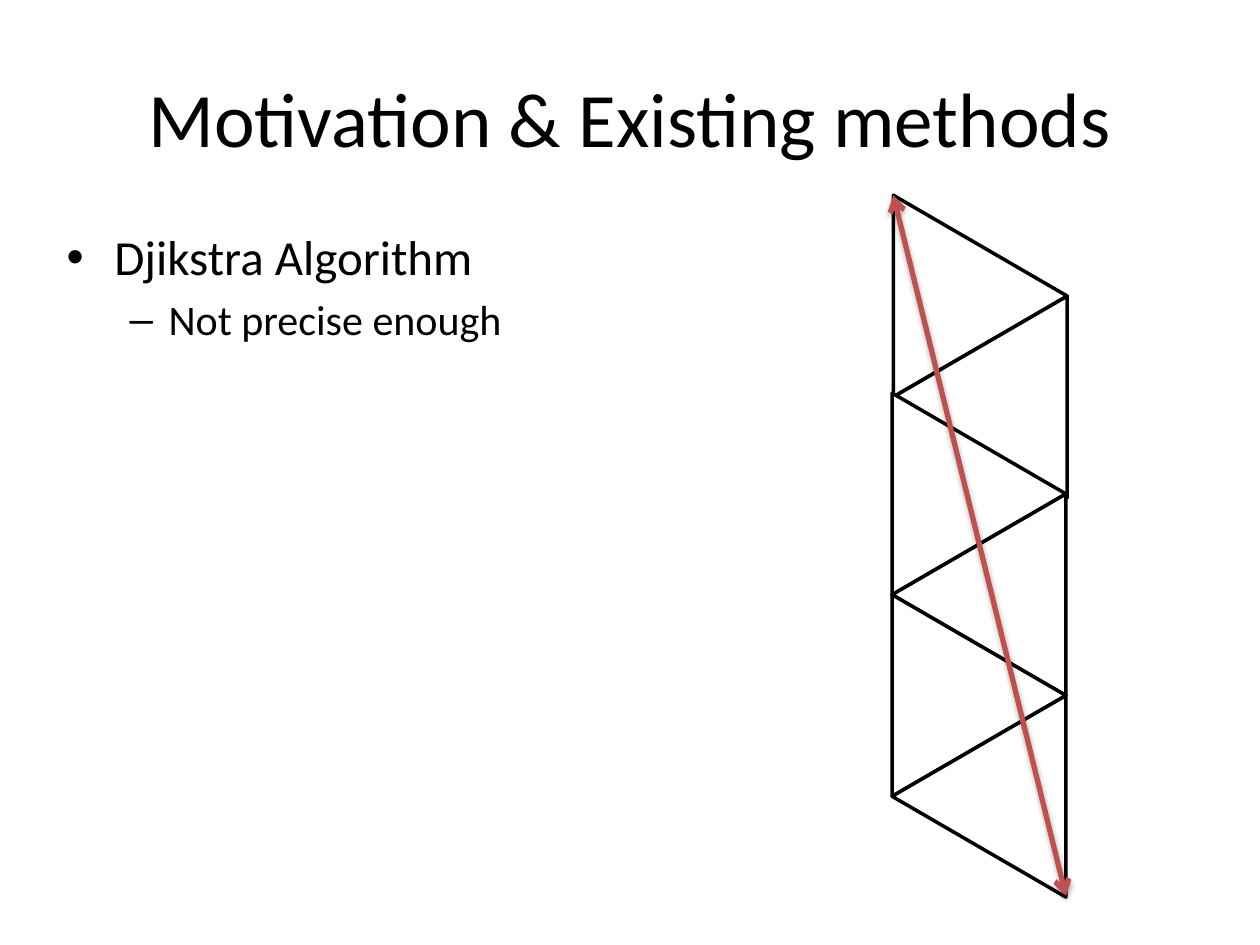
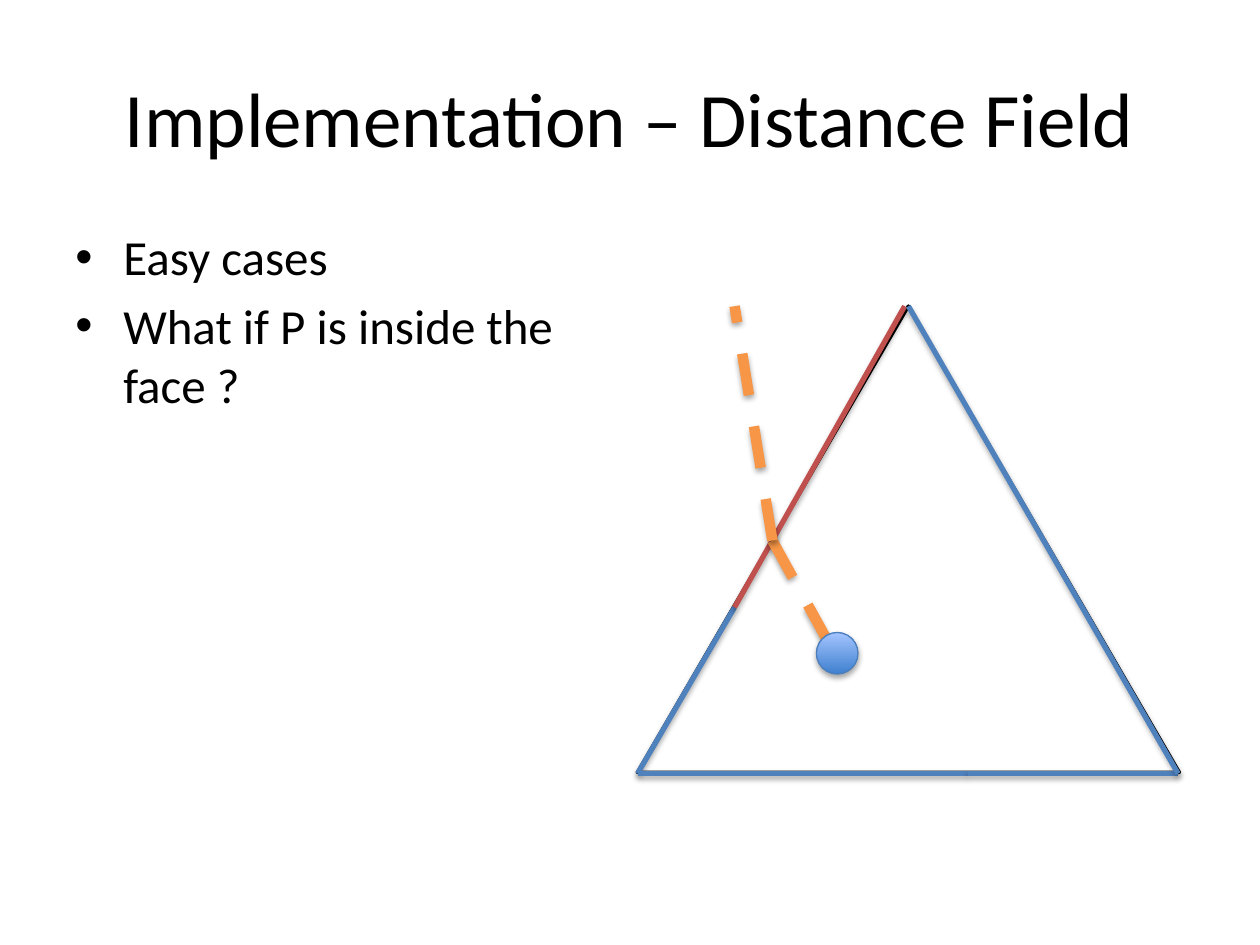
from lxml import etree
from pptx import Presentation
from pptx import util as u
from pptx.dml import color
from pptx.enum import dml, shapes, text
from pptx.oxml import ns

FONT = "Calibri"
BLACK, WHITE = "000000", "FFFFFF"
BLUE, RED, ORANGE = "4F81BD", "C0504D", "F79646"
RIM, DEEP, PALE = "4B7EBC", "3F80CE", "A4C4FF"
LEVELS = [
    dict(mark="•", size=28, left=0.38, hang=0.38),
    dict(mark="–", size=24, left=0.81, hang=0.31),
]

PATHS = dict(
    title="Motivation & Existing methods",
    left=0.43,
    points=[(0, "Djikstra Algorithm"), (1, "Not precise enough")],
)
FIELD = dict(
    title="Implementation – Distance Field",
    left=0.5,
    points=[(0, "Easy cases"), (0, "What if P is inside the face ?")],
)

STRIP = dict(pairs=3, left=6.97, top=1.63, wide=1.6, high=1.38, step=0.8, nudge=(0.01, 0.03))
ROUTE = ((7.09, 1.55), (8.46, 7.11))

FACE = (5.06, 2.43, 4.3, 3.7)
BALL = (6.48, 5.02, 0.33, 0.33)
WEST, EAST, BASE = (5.06, 6.14), (9.35, 6.14), (7.68, 6.14)
SPLIT, CROSS = (5.83, 4.82), (6.13, 4.29)
EDGES = [
    (WEST, SPLIT, BLUE),
    (SPLIT, (7.18, 2.43), RED),
    (WEST, BASE, BLUE),
    (BASE, EAST, BLUE),
    ((7.21, 2.43), EAST, BLUE),
]
RAYS = [(CROSS, (6.62, 5.18)), (CROSS, (5.83, 2.43))]


def paint(code):
    return color.RGBColor.from_string(code)


def inches(vals):
    return [u.Inches(v) for v in vals]


def node(parent, tag, **attrs):
    item = etree.SubElement(parent, ns.qn(tag))
    for key, val in attrs.items():
        item.set(key, str(val))
    return item


def write(para, words, size, align=None, mark=None, left=0, hang=0):
    run = para.add_run()
    run.text = words
    run.font.name, run.font.size = FONT, u.Pt(size)
    run.font.color.rgb = paint(BLACK)
    para.alignment = align
    if mark:
        para.space_before = u.Pt(size * 0.2)
        props = para._p.get_or_add_pPr()
        props.set("marL", str(u.Inches(left)))
        props.set("indent", str(-u.Inches(hang)))
        node(props, "a:buFont", typeface="Arial")
        node(props, "a:buChar", char=mark)


def shade(props):
    cast = node(node(props, "a:effectLst"), "a:outerShdw",
                blurRad=40000, dist=23000, dir=5400000, rotWithShape=0)
    node(node(cast, "a:srgbClr", val=BLACK), "a:alpha", val=35000)


def line(slide, start, end, hue, width=3, dash=False, heads=False):
    link = slide.shapes.add_connector(
        shapes.MSO_CONNECTOR.STRAIGHT, *inches(start + end))
    link.line.color.rgb, link.line.width = paint(hue), u.Pt(width)
    if dash:
        link.line.dash_style = dml.MSO_LINE.DASH
    if heads:
        edge = link.line._get_or_add_ln()
        node(edge, "a:headEnd", type="arrow")
        node(edge, "a:tailEnd", type="arrow")
    shade(link._element.spPr)


def wedge(home, box, turn=0):
    shape = home.shapes.add_shape(shapes.MSO_SHAPE.ISOSCELES_TRIANGLE, *inches(box))
    shape.rotation = turn
    shape.shadow.inherit = False
    shape.fill.solid()
    shape.fill.fore_color.rgb = paint(WHITE)
    shape.line.color.rgb, shape.line.width = paint(BLACK), u.Pt(2)


def ball(slide, box):
    shape = slide.shapes.add_shape(shapes.MSO_SHAPE.OVAL, *inches(box))
    shape.fill.gradient()
    shape.fill.gradient_angle = 90
    for stop, hue in zip(shape.fill.gradient_stops, (DEEP, PALE)):
        stop.color.rgb = paint(hue)
    shape.line.color.rgb, shape.line.width = paint(RIM), u.Pt(0.75)
    shade(shape._element.spPr)


def page(deck, title, left, points):
    slide = deck.slides.add_slide(deck.slide_layouts[5])
    head = slide.shapes.title
    head.left, head.top, head.width, head.height = inches((0.5, 0.3, 9, 1.25))
    head.text_frame.vertical_anchor = text.MSO_ANCHOR.MIDDLE
    write(head.text_frame.paragraphs[0], title, 44, align=text.PP_ALIGN.CENTER)
    frame = slide.shapes.add_textbox(*inches((left, 1.75, 4.42, 4.95))).text_frame
    frame.word_wrap = True
    for i, (level, words) in enumerate(points):
        para = frame.add_paragraph() if i else frame.paragraphs[0]
        para.level = level
        write(para, words, **LEVELS[level])
    return slide


def strip(slide, pairs, left, top, wide, high, step, nudge):
    group = slide.shapes.add_group_shape()
    for i in range(pairs * 2):
        dx, dy = nudge if i < 2 else (0, 0)
        box = (left + dx, top + dy + i * step, wide, high)
        wedge(group, box, 270 if i % 2 else 90)


def main():
    deck = Presentation()
    deck.slide_width, deck.slide_height = inches((10, 7.5))

    slide = page(deck, **PATHS)
    strip(slide, **STRIP)
    line(slide, *ROUTE, RED, heads=True)

    slide = page(deck, **FIELD)
    wedge(slide, FACE)
    for start, end, hue in EDGES:
        line(slide, start, end, hue)
    for start, end in RAYS:
        line(slide, start, end, ORANGE, width=6, dash=True)
    ball(slide, BALL)

    deck.save("out.pptx")


if __name__ == "__main__":
    main()
